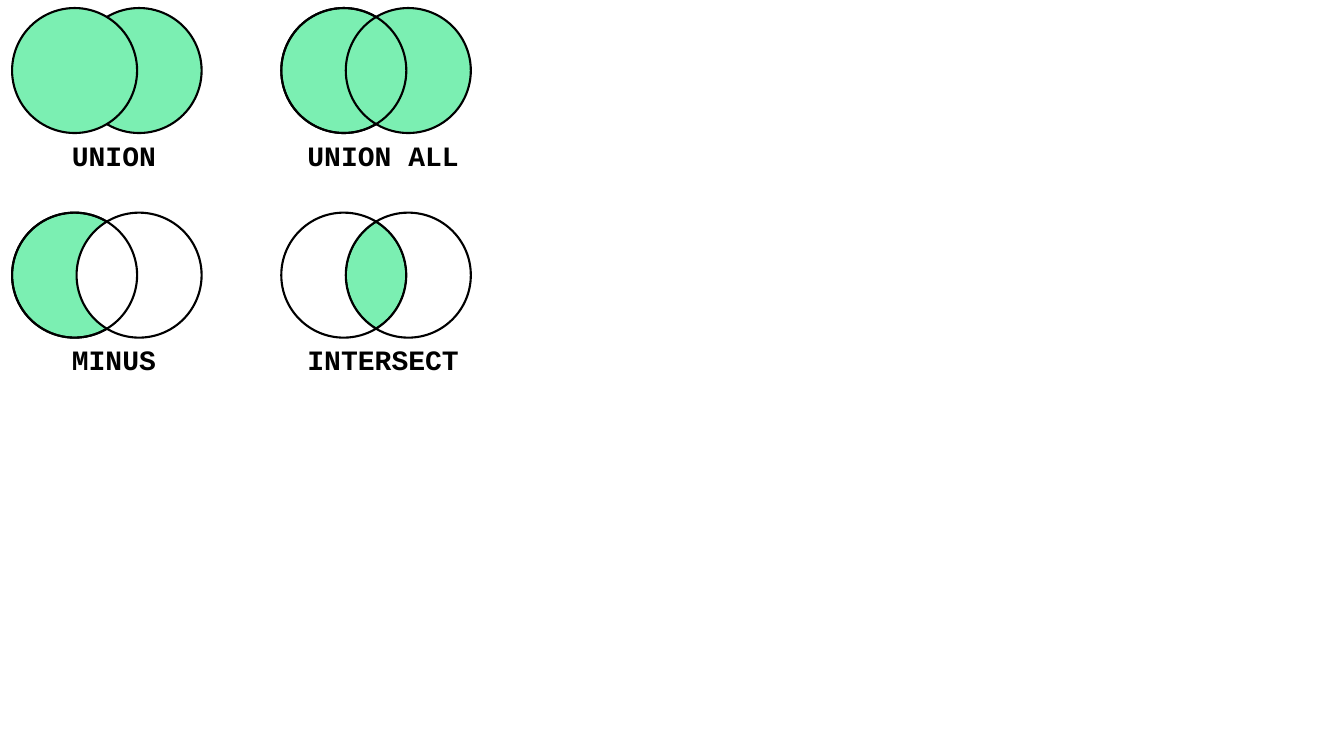
from dataclasses import dataclass
from math import acos, cos, pi, sin, tan
from lxml.etree import SubElement
from pptx import Presentation
from pptx.dml.color import RGBColor as RGB
from pptx.enum.shapes import MSO_SHAPE as Kind
from pptx.enum.text import MSO_AUTO_SIZE as Auto, PP_ALIGN as Align
from pptx.oxml.ns import qn
from pptx.util import Inches, Pt


@dataclass
class Theme:
    green: RGB = RGB(0x7B, 0xEF, 0xB2)
    white: RGB = RGB(255, 255, 255)
    black: RGB = RGB(0, 0, 0)
    font: str = "Courier New"
    size: Pt = Pt(20)
    line: Pt = Pt(1.5)


theme = Theme()
deck = Presentation()
deck.slide_width, deck.slide_height = Inches(13.33), Inches(7.5)
shapes = deck.slides.add_slide(deck.slide_layouts[6]).shapes

cols, rows = (0.12, 2.79), (0.08, 2.11)
side, shift = 1.24, 0.64
radius = side / 2


def paint(shape, fill):
    shape.shadow.inherit = False
    if fill is None:
        shape.fill.background()
    else:
        shape.fill.solid()
        shape.fill.fore_color.rgb = fill
    shape.line.color.rgb = theme.black
    shape.line.width = theme.line


def arc(mid, *stops):
    points = []
    for start, end in zip(stops, stops[1:]):
        pull = 4 / 3 * tan((end - start) / 4)
        for turn, bend in ((start, pull), (end, -pull), (end, 0)):
            x = mid + radius * (cos(turn) - bend * sin(turn))
            y = rows[1] + radius * (1 + sin(turn) + bend * cos(turn))
            points.append((Inches(x), Inches(y)))
    return points


left = cols[1] + radius
right = left + shift
half = acos(shift / side)
regions = [
    (arc(left, -half, 0, half) + arc(right, pi - half, pi, pi + half), theme.green),
    (arc(left, half, pi / 2, pi, 3 * pi / 2, 2 * pi - half)
     + arc(right, pi + half, pi, pi - half), theme.white),
    (arc(right, half - pi, -pi / 2, 0, pi / 2, pi - half)
     + arc(left, half, 0, -half), theme.white),
]
for points, fill in regions:
    outline = shapes.build_freeform(*points[-1], scale=1.0)
    outline.add_line_segments(points, close=True)
    region = outline.convert_to_shape()
    lines = list(region.element.iter(qn("a:lnTo")))
    for i in range(0, len(lines), 3):
        curve = SubElement(lines[i].getparent(), qn("a:cubicBezTo"))
        lines[i].addprevious(curve)
        for line in lines[i:i + 3]:
            curve.append(line[0])
            line.getparent().remove(line)
    paint(region, fill)

circles = [
    (1, 0, 0, theme.green), (1, 0, shift, theme.green), (1, 0, 0, None),
    (0, 1, 0, theme.green), (0, 1, shift, theme.white), (0, 1, 0, None),
    (0, 0, shift, theme.green), (0, 0, 0, theme.green),
]
for col, row, move, fill in circles:
    circle = shapes.add_shape(Kind.OVAL, Inches(cols[col] + move), Inches(rows[row]),
                              Inches(side), Inches(side))
    paint(circle, fill)

names = ("UNION", "UNION ALL", "MINUS", "INTERSECT")
for i, name in enumerate(names):
    row, col = divmod(i, 2)
    box = shapes.add_textbox(Inches(cols[col]), Inches(rows[row] + side),
                             Inches(2.02), Inches(0.44))
    frame = box.text_frame
    frame.word_wrap = True
    frame.auto_size = Auto.SHAPE_TO_FIT_TEXT
    label = frame.paragraphs[0]
    label.text = name
    label.alignment = Align.CENTER
    label.font.name, label.font.size = theme.font, theme.size
    label.font.bold = True
    label.font.color.rgb = theme.black

deck.save("out.pptx")
